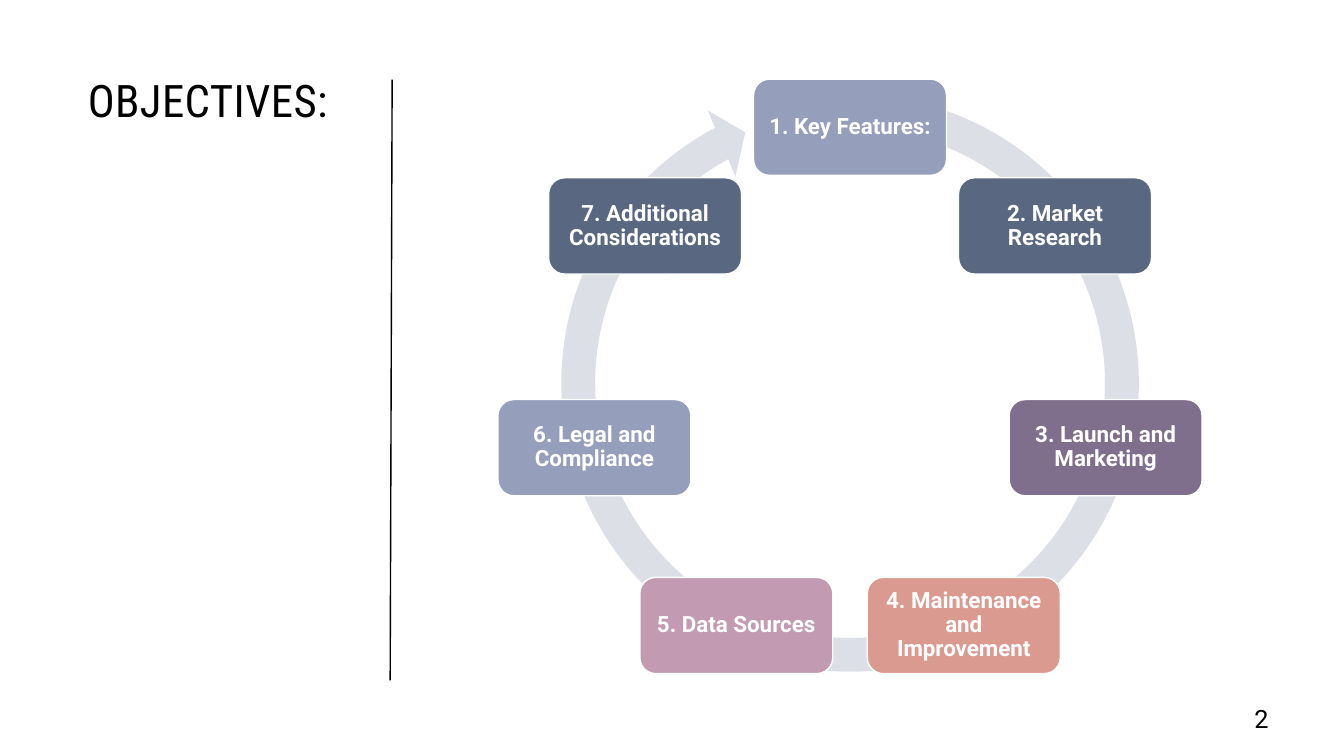
from dataclasses import dataclass
from math import cos, radians, sin

from lxml.etree import SubElement
from pptx import Presentation
from pptx.dml.color import RGBColor
from pptx.enum.shapes import MSO_CONNECTOR, MSO_SHAPE
from pptx.enum.text import MSO_ANCHOR, MSO_AUTO_SIZE, PP_ALIGN
from pptx.oxml.ns import qn
from pptx.util import Inches, Pt

# Content
TITLE = "OBJECTIVES:"
PAGE_NUMBER = "2"
STEPS = [
    ("1. Key Features:", "periwinkle"),
    ("2. Market Research", "slate"),
    ("3. Launch and Marketing", "plum"),
    ("4. Maintenance and Improvement", "coral"),
    ("5. Data Sources", "mauve"),
    ("6. Legal and Compliance", "periwinkle"),
    ("7. Additional Considerations", "slate"),
]


@dataclass(frozen=True)
class Theme:
    periwinkle: str = "959EBB"
    slate: str = "596781"
    plum: str = "7F6E8C"
    coral: str = "DB9A8F"
    mauve: str = "C29AB1"
    ring: str = "DDDFE7"
    ink: str = "000000"
    paper: str = "FFFFFF"
    heading_font: str = "Roboto Condensed"
    body_font: str = "Roboto"
    title_size: int = 32
    number_size: int = 18
    step_size: int = 16


THEME = Theme()

# Grid: 100 columns by 100 rows
WIDTH, HEIGHT = Inches(13.33), Inches(7.5)


def col(count):
    return round(WIDTH * count / 100)


def row(count):
    return round(HEIGHT * count / 100)


TITLE_AREA = (col(5.78), row(8.93), col(20.7), row(65.47))
NUMBER_AREA = (col(89.57), row(92.67), col(5.55), row(5.33))
DIVIDER = (col(29.03), row(90), col(29.18), row(10.53))
CENTER_X = col(63.25)
STEP_CENTER_Y, STEP_RADIUS = row(51.5), row(34.67)
STEP_SIZE = (col(14.36), row(12.73))
RING_CENTER_Y, RING_SIZE = row(50.67), row(81.33)
RING_ADJUSTMENTS = (0.055, 3.307, 145.087, 169.543, 0.058)


def color(value):
    return RGBColor.from_string(value)


def apply(target, **formats):
    for name, value in formats.items():
        setattr(target, name, value)


def write(shape, text, font, size, ink, align, anchor, spacing, inset=0.1, bold=False):
    frame = shape.text_frame
    frame.text = text
    apply(frame, word_wrap=True, auto_size=MSO_AUTO_SIZE.NONE, vertical_anchor=anchor,
          margin_left=Inches(inset), margin_right=Inches(inset),
          margin_top=Inches(0.05), margin_bottom=Inches(0.05))
    para = frame.paragraphs[0]
    apply(para, alignment=align, line_spacing=spacing)
    span = para.runs[0]
    apply(span.font, name=font, size=Pt(size), bold=bold)
    span.font.color.rgb = color(ink)
    return span


def add_centered(page, kind, center_x, center_y, width, height, fill):
    shape = page.shapes.add_shape(
        kind, center_x - width // 2, center_y - height // 2, width, height)
    shape.shadow.inherit = False
    shape.fill.solid()
    shape.fill.fore_color.rgb = color(fill)
    return shape


def add_heading(page):
    title = page.shapes.title
    apply(title, **dict(zip(("left", "top", "width", "height"), TITLE_AREA)))
    span = write(title, TITLE, THEME.heading_font, THEME.title_size, THEME.ink,
                 PP_ALIGN.LEFT, MSO_ANCHOR.TOP, 1.0)
    span.font._element.set("spc", "30")

    number = page.shapes.add_textbox(*NUMBER_AREA)
    write(number, PAGE_NUMBER, THEME.body_font, THEME.number_size, THEME.ink,
          PP_ALIGN.RIGHT, MSO_ANCHOR.MIDDLE, 0.9)


def add_divider(page):
    divider = page.shapes.add_connector(MSO_CONNECTOR.STRAIGHT, *DIVIDER)
    divider.line.color.rgb = color(THEME.ink)
    divider.line.width = Pt(1)
    SubElement(divider._element.spPr, qn("a:effectLst"))


def add_cycle(page):
    # Ring arrow behind the steps
    ring = add_centered(page, MSO_SHAPE.CIRCULAR_ARROW, CENTER_X, RING_CENTER_Y,
                        RING_SIZE, RING_SIZE, THEME.ring)
    ring.line.fill.background()
    for index, value in enumerate(RING_ADJUSTMENTS):
        ring.adjustments[index] = value

    # Steps at equal angles, clockwise from the top
    for index, (text, fill) in enumerate(STEPS):
        angle = radians(360 * index / len(STEPS))
        box = add_centered(page, MSO_SHAPE.ROUNDED_RECTANGLE,
                           CENTER_X + round(STEP_RADIUS * sin(angle)),
                           STEP_CENTER_Y - round(STEP_RADIUS * cos(angle)),
                           *STEP_SIZE, getattr(THEME, fill))
        box.line.color.rgb = color(THEME.paper)
        box.line.width = Pt(1)
        write(box, text, THEME.body_font, THEME.step_size, THEME.paper,
              PP_ALIGN.CENTER, MSO_ANCHOR.MIDDLE, 0.9, inset=0.08, bold=True)


def main():
    deck = Presentation()
    apply(deck, slide_width=WIDTH, slide_height=HEIGHT)
    page = deck.slides.add_slide(deck.slide_layouts.get_by_name("Title Only"))
    add_heading(page)
    add_divider(page)
    add_cycle(page)
    deck.save("out.pptx")


if __name__ == "__main__":
    main()
